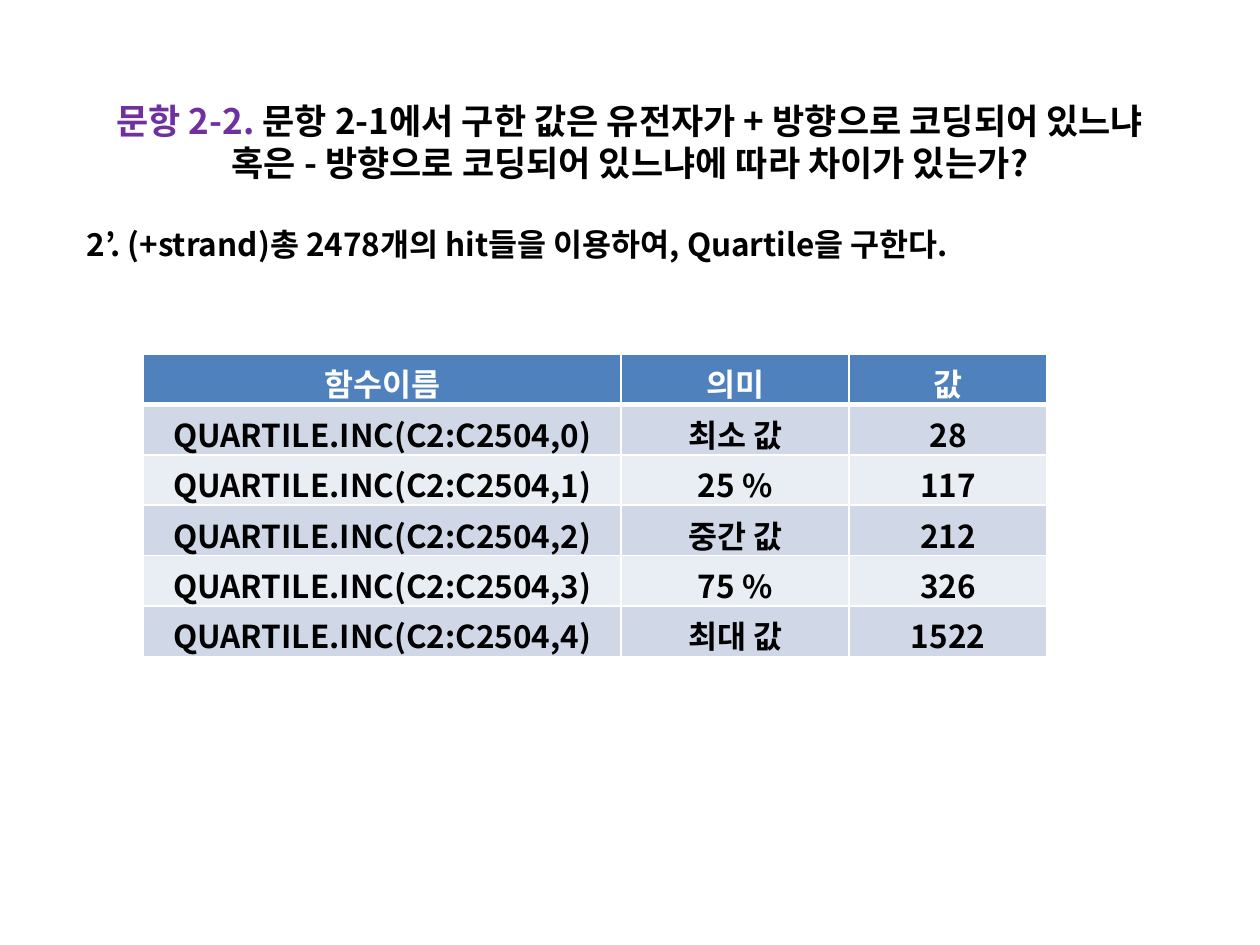
from lxml.etree import SubElement
from pptx import Presentation
from pptx.dml.color import RGBColor
from pptx.enum.text import MSO_ANCHOR, PP_ALIGN
from pptx.oxml.ns import qn
from pptx.util import Inches, Pt

FONT = "Noto Sans CJK KR"
BLACK, WHITE, PURPLE = "000000", "FFFFFF", "7030A0"
HEADER_FILL, BAND_FILLS = "4F81BD", ("D0D8E8", "E9EDF4")

# Content
TITLE = [
    ("문항 2-2. ", PURPLE),
    ("문항 2-1에서 구한 값은 유전자가 + 방향으로 코딩되어 있느냐 "
     "혹은 - 방향으로 코딩되어 있느냐에 따라 차이가 있는가?", BLACK),
]
STEP = [("2’. (+strand)총 2478개의 hit들을 이용하여, Quartile을 구한다.", BLACK)]
HEADERS = ("함수이름", "의미", "값")
QUARTILES = [("최소 값", "28"), ("25 %", "117"), ("중간 값", "212"),
             ("75 %", "326"), ("최대 값", "1522")]
ROWS = [HEADERS] + [(f"QUARTILE.INC(C2:C2504,{number})", meaning, value)
                    for number, (meaning, value) in enumerate(QUARTILES)]
COLUMN_WIDTHS = (3.79, 1.81, 1.57)
ROW_HEIGHT = 0.4


def color(hex_string):
    return RGBColor.from_string(hex_string)


def add_runs(paragraph, runs, size):
    for text, hex_string in runs:
        run = paragraph.add_run()
        run.text = text
        run.font.size = Pt(size)
        run.font.bold = True
        run.font.name = FONT
        run.font.color.rgb = color(hex_string)
        SubElement(run.font._element, qn("a:ea"), typeface=FONT)


def add_text(slide, box, runs, size, line, align, anchor):
    frame = slide.shapes.add_textbox(*map(Inches, box)).text_frame
    frame.word_wrap = True
    frame.vertical_anchor = anchor
    paragraph = frame.paragraphs[0]
    paragraph.alignment = align
    paragraph.line_spacing = Pt(line)
    add_runs(paragraph, runs, size)


def set_borders(cell, widths):
    properties = cell._tc.get_or_add_tcPr()
    for index, (side, width) in enumerate(widths.items()):
        border = SubElement(properties, qn(f"a:ln{side}"), w=str(Pt(width)))
        fill = SubElement(border, qn("a:solidFill"))
        SubElement(fill, qn("a:srgbClr"), val=WHITE)
        properties.insert(index, border)


def add_quartile_table(slide):
    table = slide.shapes.add_table(
        len(ROWS), len(HEADERS), Inches(1.14), Inches(2.81),
        Inches(sum(COLUMN_WIDTHS)), Inches(ROW_HEIGHT * len(ROWS))).table
    table.horz_banding = False
    for column, width in zip(table.columns, COLUMN_WIDTHS):
        column.width = Inches(width)
    for row_index, values in enumerate(ROWS):
        is_header = row_index == 0
        fill = HEADER_FILL if is_header else BAND_FILLS[(row_index - 1) % 2]
        widths = {"L": 1, "R": 1, "T": 3 if row_index == 1 else 1,
                  "B": 3 if is_header else 1}
        for column_index, value in enumerate(values):
            cell = table.cell(row_index, column_index)
            cell.margin_bottom = 0
            cell.fill.solid()
            cell.fill.fore_color.rgb = color(fill)
            set_borders(cell, widths)
            paragraph = cell.text_frame.paragraphs[0]
            paragraph.alignment = PP_ALIGN.CENTER
            add_runs(paragraph, [(value, WHITE if is_header else BLACK)], 18)


def main():
    presentation = Presentation()
    presentation.slide_width, presentation.slide_height = Inches(10), Inches(7.5)
    slide = presentation.slides.add_slide(presentation.slide_layouts[6])

    # Question, step and results
    add_text(slide, (0.5, 0.5, 9, 1.25), TITLE, 20, 24,
             PP_ALIGN.CENTER, MSO_ANCHOR.MIDDLE)
    add_text(slide, (0.59, 1.73, 9.13, 0.4), STEP, 18, 22,
             PP_ALIGN.LEFT, MSO_ANCHOR.TOP)
    add_quartile_table(slide)
    presentation.save("out.pptx")


if __name__ == "__main__":
    main()
